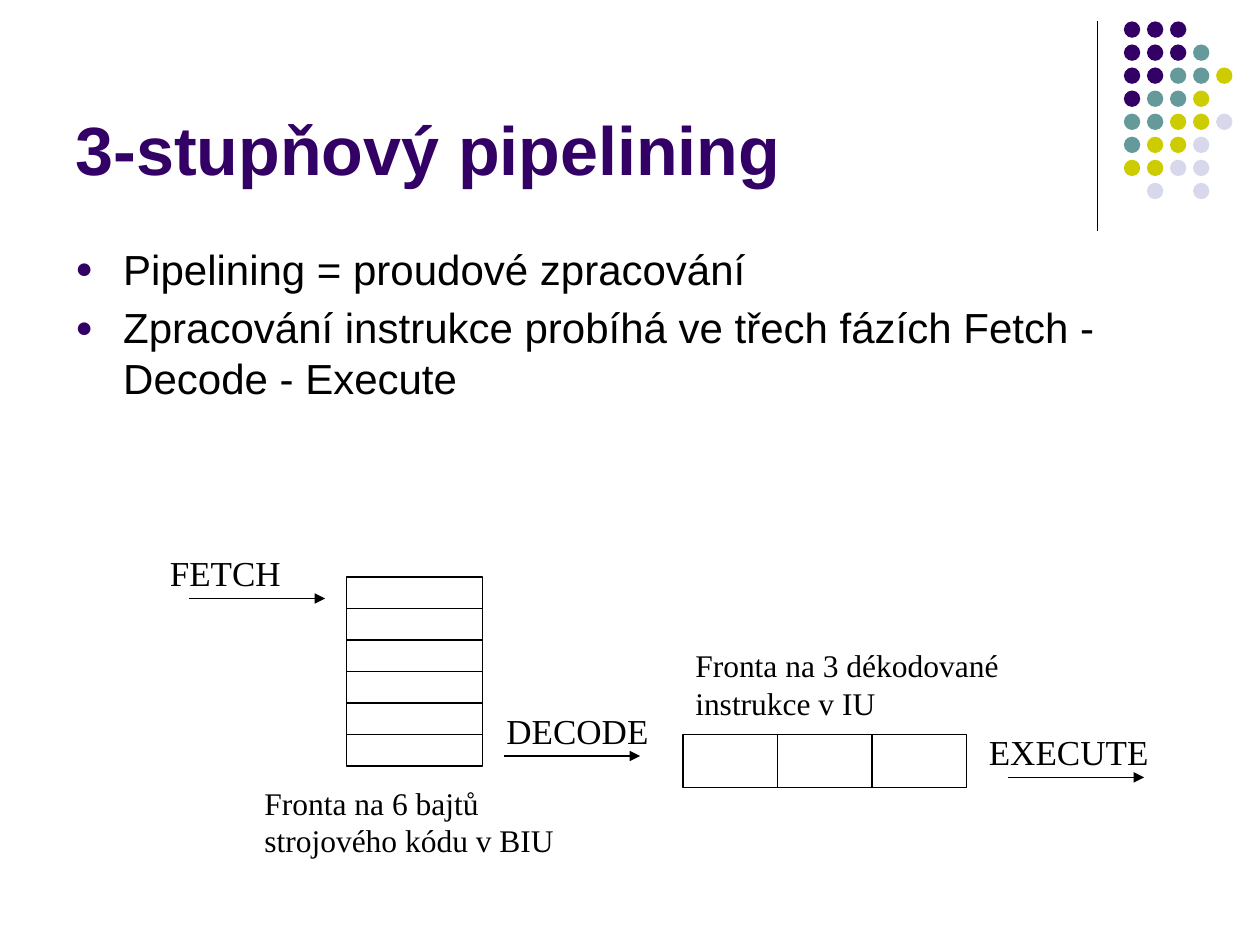
import pptx
import pptx.util
import pptx.dml.color
import pptx.enum.shapes
import pptx.enum.text
import pptx.oxml
import pptx.oxml.ns
from lxml import etree

Inches = pptx.util.Inches
Pt = pptx.util.Pt
SHAPES = pptx.enum.shapes.MSO_SHAPE
ANCHORS = pptx.enum.text.MSO_ANCHOR
qn = pptx.oxml.ns.qn


def color(hex_string):
    return pptx.dml.color.RGBColor.from_string(hex_string)


def add_text(text, left, top, width, height, size=20, font="Times New Roman",
             ink="000000", bold=False, anchor=ANCHORS.TOP, bullet=None, gap=0):
    frame = slide.shapes.add_textbox(
        Inches(left), Inches(top), Inches(width), Inches(height)).text_frame
    frame.word_wrap = True
    frame.vertical_anchor = anchor
    for index, line in enumerate(text.split("\n")):
        paragraph = frame.paragraphs[0] if index == 0 else frame.add_paragraph()
        if index:
            paragraph.space_before = Pt(gap)
        if bullet:
            properties = paragraph._p.get_or_add_pPr()
            properties.set("marL", str(Inches(0.38)))
            properties.set("indent", str(-Inches(0.38)))
            bullet_color = etree.SubElement(properties, qn("a:buClr"))
            etree.SubElement(bullet_color, qn("a:srgbClr"), val=bullet)
            etree.SubElement(properties, qn("a:buSzPct"), val="70000")
            etree.SubElement(properties, qn("a:buFont"), typeface="Arial")
            etree.SubElement(properties, qn("a:buChar"), char="●")
        run = paragraph.add_run()
        run.text = line
        run.font.size = Pt(size)
        run.font.name = font
        run.font.bold = bold
        run.font.color.rgb = color(ink)


presentation = pptx.Presentation()
presentation.slide_width = Inches(10)
presentation.slide_height = Inches(7.5)
slide = presentation.slides.add_slide(presentation.slide_layouts[6])

dot_colors = {"P": "330066", "T": "669999", "Y": "CCCC00", "L": "D8D8EC"}
dot_rows = ["PPP", "PPPT", "PPTTY", "PTTY", "TTYYL", "TYYL", "YYLL", " L L"]
dot_pitch = 0.183
for row, codes in enumerate(dot_rows):
    for column, code in enumerate(codes):
        if code == " ":
            continue
        dot = slide.shapes.add_shape(
            SHAPES.OVAL, Inches(8.92 + column * dot_pitch),
            Inches(0.17 + row * dot_pitch), Inches(0.13), Inches(0.13))
        dot.shadow.inherit = False
        dot.fill.solid()
        dot.fill.fore_color.rgb = color(dot_colors[code])
        dot.line.fill.background()

add_text("3-stupňový pipelining", 0.5, 0.13, 8.25, 1.42, size=39, font="Arial",
         ink="330066", bold=True, anchor=ANCHORS.BOTTOM)
add_text("Pipelining = proudové zpracování\n"
         "Zpracování instrukce probíhá ve třech fázích Fetch - Decode - Execute",
         0.5, 1.88, 9, 2.23, size=24, font="Arial", bullet="330066", gap=4.8)

byte_queue = [(2.75, 4.58 + 0.25 * i, 1.08, 0.25) for i in range(6)]
instruction_queue = [(5.42 + 0.75 * i, 5.83, 0.75, 0.42) for i in range(3)]
for bounds in byte_queue + instruction_queue:
    cell = slide.shapes.add_shape(SHAPES.RECTANGLE, *map(Inches, bounds))
    cell.shadow.inherit = False
    cell.fill.background()
    cell.line.color.rgb = color("000000")
    cell.line.width = Pt(0.75)

divider = (8.71, 0.17, 8.71, 1.83)
stage_arrows = [(left, top, left + 1.08, top)
                for left, top in [(1.5, 4.75), (4, 6), (8, 6.17)]]
for ends in [divider] + stage_arrows:
    connector = slide.shapes.add_connector(
        pptx.enum.shapes.MSO_CONNECTOR.STRAIGHT, *map(Inches, ends))
    connector.line.color.rgb = color("000000")
    connector.line.width = Pt(0.75)
    if ends != divider:
        etree.SubElement(connector.line._get_or_add_ln(), qn("a:tailEnd"), type="triangle")
    etree.SubElement(connector._element.spPr, qn("a:effectLst"))

add_text("FETCH", 1.25, 4.33, 1.17, 0.43)
add_text("DECODE", 3.92, 5.58, 1.42, 0.43)
add_text("EXECUTE", 7.75, 5.75, 1.5, 0.43)
add_text("Fronta na 6 bajtů strojového kódu v BIU", 2, 6.17, 2.75, 0.7, size=18)
add_text("Fronta na 3 dékodované instrukce v IU", 5.42, 5.08, 2.67, 0.7, size=18)

presentation.save("out.pptx")
